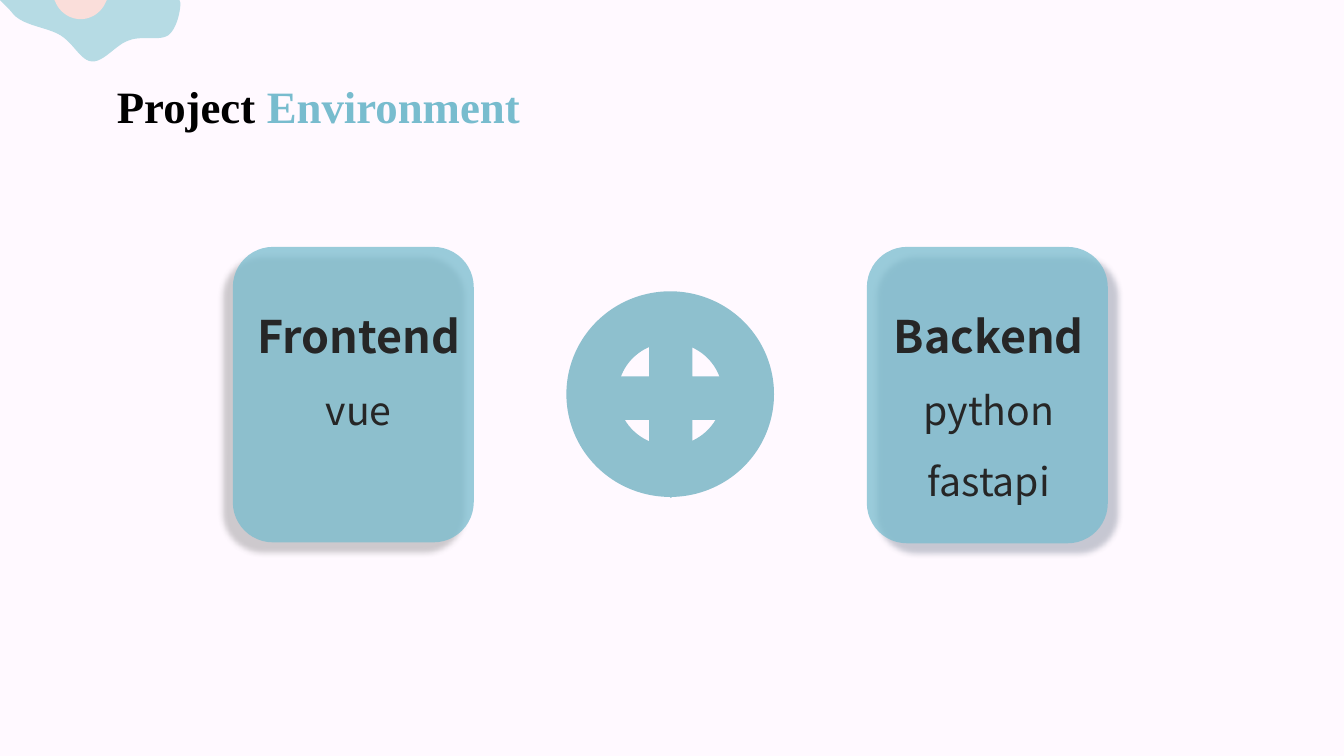
import pptx
import pptx.util
import pptx.dml.color
import pptx.enum.shapes
import pptx.enum.text
import pptx.oxml

Pt = pptx.util.Pt
Shape = pptx.enum.shapes.MSO_SHAPE
Align = pptx.enum.text.PP_ALIGN
Anchor = pptx.enum.text.MSO_ANCHOR

HUES = {"back": "FFF9FF", "black": "000000", "blue": "78BCCE", "ink": "262626",
        "ring": "8EC0CE", "cloud": "B6DBE4", "peach": "FADEDA",
        "gray": "595959", "slate": "44546A"}
SERIF, SANS = "Times New Roman", "Noto Sans CJK SC"

TITLE = [("Project ", "black"), ("Environment", "blue")]
TITLE_BOX = (76.3, 56.2, 321.1, 43.2)
CARDS = [
    {"box": (166.3, 176.4, 172.1, 211), "text": (174.2, 198, 164.2, 115.9),
     "lines": ["Frontend", "vue"], "shade": "gray", "turn": 135},
    {"box": (619.2, 176.4, 172.1, 211.7), "text": (619.2, 198, 174.2, 167),
     "lines": ["Backend", "python", "fastapi"], "shade": "slate", "turn": 45},
]
SIGNS = [(Shape.DONUT, (404.6, 208.1, 148.3, 146.9)),
         (Shape.QUAD_ARROW, (410.4, 213.1, 137.5, 142.6))]
BLOBS = [
    ("cloud", [(0, 0), (128.2, 0), (128.9, 2.2),
               (128.9, 8.6, 126, 20.9, 120.2, 25.2),
               (113.8, 29.5, 101.5, 25.2, 92.2, 28.8),
               (82.8, 31.7, 74.2, 44.6, 65.5, 43.9),
               (57.6, 43.2, 52.6, 31, 43.2, 25.2),
               (33.8, 19.4, 17.3, 18.7, 9.4, 10.1),
               (7.9, 7.9, 5, 5, 2.2, 2.2)]),
    ("peach", [(38.9, 0), (76.3, 0), (75.6, 1.4),
               (72.7, 8.6, 65.5, 13.7, 57.6, 13.7),
               (49.7, 13.7, 42.5, 8.6, 39.6, 1.4)]),
]
STEPS = 12


def hue(tint):
    return pptx.dml.color.RGBColor.from_string(HUES[tint])


def paint(shape, tint):
    shape.shadow.inherit = False
    shape.fill.solid()
    shape.fill.fore_color.rgb = hue(tint)
    shape.line.fill.background()


def style(item, values):
    for key, value in values.items():
        setattr(item, key, value)


def write(para, text, tint, values):
    run = para.add_run()
    run.text = text
    style(run.font, values)
    run.font.color.rgb = hue(tint)


def add_xml(node, text):
    space = 'xmlns:a="http://schemas.openxmlformats.org/drawingml/2006/main"'
    node.append(pptx.oxml.parse_xml(text.replace(" ", f" {space} ", 1)))


def trace(parts):
    dots = []
    for part in parts:
        if len(part) == 2:
            dots.append(part)
            continue
        curve = [dots[-1], part[:2], part[2:4], part[4:]]
        for step in range(1, STEPS + 1):
            t = step / STEPS
            mix = ((1 - t) ** 3, 3 * t * (1 - t) ** 2, 3 * t * t * (1 - t), t ** 3)
            dots.append(tuple(sum(m * p[axis] for m, p in zip(mix, curve))
                              for axis in (0, 1)))
    return [(Pt(x), Pt(y)) for x, y in dots]


def add_blob(slide, tint, parts):
    dots = trace(parts)
    form = slide.shapes.build_freeform(*dots[0], scale=1.0)
    form.add_line_segments(dots[1:], close=True)
    paint(form.convert_to_shape(), tint)


def add_title(slide):
    title = slide.shapes.title
    style(title, dict(zip(("left", "top", "width", "height"), map(Pt, TITLE_BOX))))
    style(title.text_frame, {"vertical_anchor": Anchor.MIDDLE, "word_wrap": True,
                             "auto_size": pptx.enum.text.MSO_AUTO_SIZE.NONE})
    para = title.text_frame.paragraphs[0]
    style(para, {"alignment": Align.LEFT, "line_spacing": 0.9})
    for text, tint in TITLE:
        write(para, text, tint, {"name": SERIF, "size": Pt(32), "bold": True})


def add_card(slide, card):
    shape = slide.shapes.add_shape(Shape.ROUNDED_RECTANGLE, *map(Pt, card["box"]))
    paint(shape, "blue")
    props = shape.element.spPr
    add_xml(props.solidFill[0], '<a:alpha val="75000"/>')
    add_xml(props.effectLst,
            f'<a:outerShdw blurRad="{Pt(4)}" dist="{Pt(10)}" dir="{card["turn"] * 60000}" '
            f'rotWithShape="0"><a:srgbClr val="{HUES[card["shade"]]}">'
            '<a:alpha val="40000"/></a:srgbClr></a:outerShdw>')
    frame = slide.shapes.add_textbox(*map(Pt, card["text"])).text_frame
    frame.word_wrap = True
    for row, line in enumerate(card["lines"]):
        para = frame.add_paragraph() if row else frame.paragraphs[0]
        style(para, {"alignment": Align.CENTER, "line_spacing": 1.5})
        write(para, line, "ink",
              {"name": SANS, "size": Pt(28 if row else 32), "bold": not row})


def main():
    deck = pptx.Presentation()
    style(deck, {"slide_width": Pt(960), "slide_height": Pt(540)})
    slide = deck.slides.add_slide(deck.slide_layouts[5])
    slide.background.fill.solid()
    slide.background.fill.fore_color.rgb = hue("back")
    for tint, parts in BLOBS:
        add_blob(slide, tint, parts)
    add_title(slide)
    for card in CARDS:
        add_card(slide, card)
    for kind, box in SIGNS:
        paint(slide.shapes.add_shape(kind, *map(Pt, box)), "ring")
    deck.save("out.pptx")


if __name__ == "__main__":
    main()
